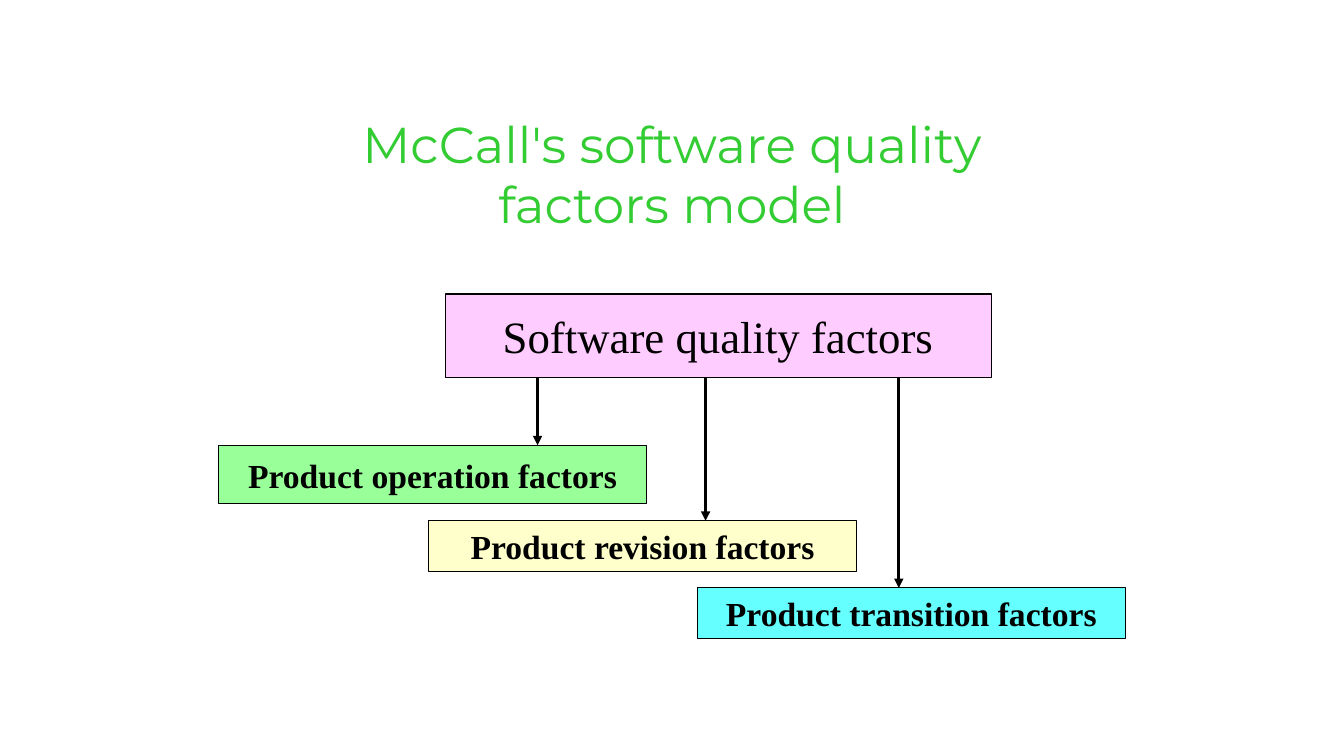
import pptx
import pptx.dml.color
import pptx.enum.shapes
import pptx.enum.text
import pptx.oxml
import pptx.oxml.ns
import pptx.util
from lxml import etree

Pt = pptx.util.Pt
RGBColor = pptx.dml.color.RGBColor

BLACK = RGBColor(0x00, 0x00, 0x00)
TITLE_GREEN = RGBColor(0x33, 0xCC, 0x33)
PINK = RGBColor(0xFF, 0xCC, 0xFF)
GREEN = RGBColor(0x99, 0xFF, 0x99)
YELLOW = RGBColor(0xFF, 0xFF, 0xCC)
CYAN = RGBColor(0x66, 0xFF, 0xFF)

TITLE_ONLY = 5


def write_text(shape, text, *, font, size, color=BLACK, bold=False,
               anchor=pptx.enum.text.MSO_ANCHOR.MIDDLE):
    """Fill a shape with centred text, one paragraph per line."""
    frame = shape.text_frame
    frame.text = text
    frame.word_wrap = False
    frame.auto_size = pptx.enum.text.MSO_AUTO_SIZE.NONE
    frame.vertical_anchor = anchor
    for paragraph in frame.paragraphs:
        paragraph.alignment = pptx.enum.text.PP_ALIGN.CENTER
        paragraph.space_before = Pt(0)
        for run in paragraph.runs:
            run.font.name = font
            run.font.size = Pt(size)
            run.font.bold = bold
            run.font.color.rgb = color


class FactorSlide:
    """Holds the style and the current slide."""

    title_font = "Montserrat"
    box_font = "Times New Roman"
    box_line = 0.75
    arrow_line = 2.25

    def __init__(self, slide):
        self.slide = slide

    def title(self, text, left, top, width, height):
        shape = self.slide.shapes.title
        shape.left, shape.top = Pt(left), Pt(top)
        shape.width, shape.height = Pt(width), Pt(height)
        write_text(shape, text, font=self.title_font, size=36,
                   color=TITLE_GREEN, anchor=pptx.enum.text.MSO_ANCHOR.TOP)

    def box(self, text, left, top, width, height, fill, size=24, bold=True):
        shape = self.slide.shapes.add_shape(
            pptx.enum.shapes.MSO_SHAPE.RECTANGLE,
            Pt(left), Pt(top), Pt(width), Pt(height))
        shape.shadow.inherit = False
        shape.fill.solid()
        shape.fill.fore_color.rgb = fill
        shape.line.color.rgb = BLACK
        shape.line.width = Pt(self.box_line)
        write_text(shape, text, font=self.box_font, size=size, bold=bold)

    def down_arrow(self, x, top, bottom):
        connector = self.slide.shapes.add_connector(
            pptx.enum.shapes.MSO_CONNECTOR.STRAIGHT,
            Pt(x), Pt(top), Pt(x), Pt(bottom))
        connector.line.color.rgb = BLACK
        connector.line.width = Pt(self.arrow_line)
        qualified = pptx.oxml.ns.qn
        line = connector.line._get_or_add_ln()
        etree.SubElement(line, qualified("a:tailEnd"), type="triangle")
        etree.SubElement(connector._element.spPr, qualified("a:effectLst"))


def main():
    presentation = pptx.Presentation()
    presentation.slide_width, presentation.slide_height = Pt(960), Pt(540)
    layout = presentation.slide_layouts[TITLE_ONLY]
    page = FactorSlide(presentation.slides.add_slide(layout))

    # Title
    page.title("McCall's software quality\nfactors model", 232, 77, 496, 91)

    # Root of the model
    root_top, root_height = 210, 60
    page.box("Software quality factors", 318, root_top, 390, root_height,
             PINK, size=32, bold=False)

    # Factor groups, each with its arrow from the root
    groups = [
        ("Product operation factors", 156, 318, 42, GREEN, 384),
        ("Product revision factors", 306, 372, 36, YELLOW, 504),
        ("Product transition factors", 498, 420, 36, CYAN, 642),
    ]
    for text, left, top, height, fill, arrow_x in groups:
        page.box(text, left, top, 306, height, fill)
        page.down_arrow(arrow_x, root_top + root_height, top)

    presentation.save("out.pptx")


if __name__ == "__main__":
    main()
